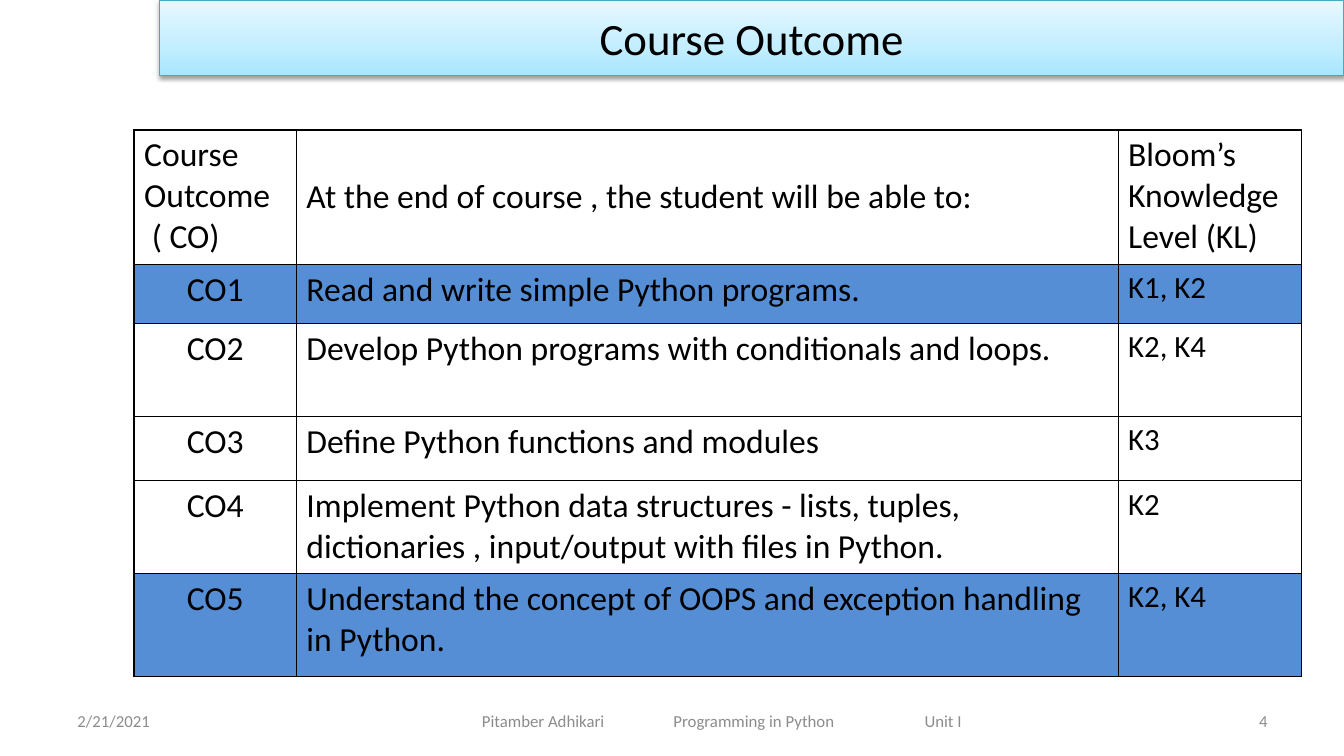
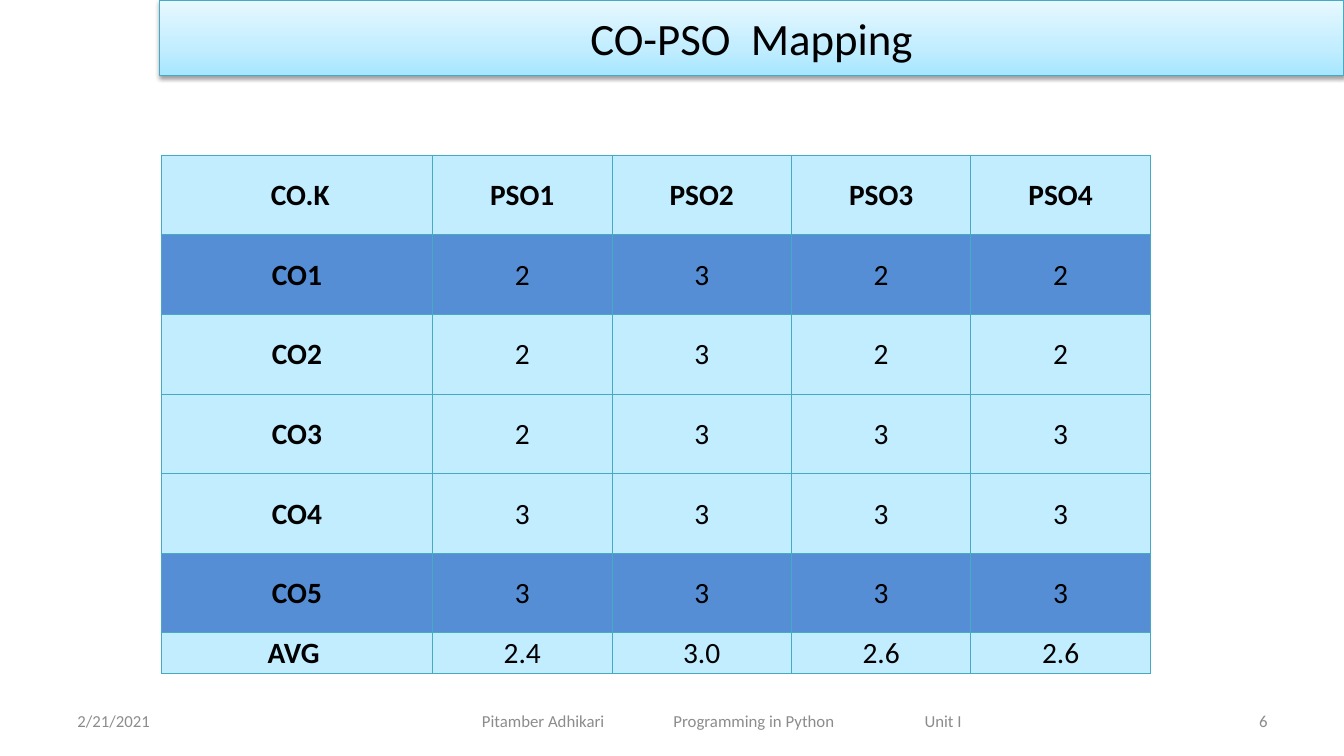
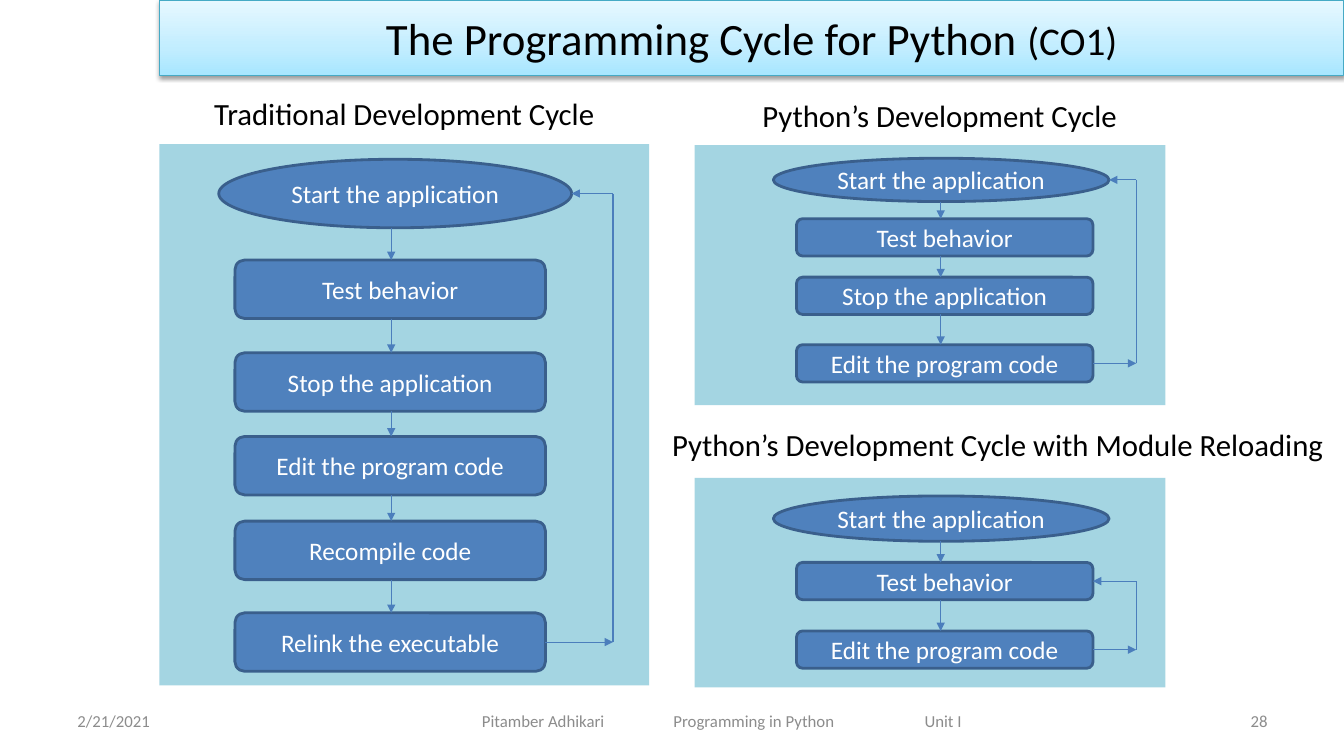
"""Build three course slides: outcomes, outcome mapping and the programming cycle."""
from copy import deepcopy
from itertools import pairwise

from pptx import Presentation
from pptx.dml.color import RGBColor
from pptx.enum.shapes import MSO_CONNECTOR, MSO_SHAPE
from pptx.enum.text import MSO_ANCHOR, PP_ALIGN
from pptx.oxml import parse_xml
from pptx.oxml.ns import nsdecls, qn
from pptx.util import Inches, Pt

BLACK = RGBColor(0x00, 0x00, 0x00)
WHITE = RGBColor(0xFF, 0xFF, 0xFF)
GREY = RGBColor(0x8C, 0x8C, 0x8C)
TEAL = RGBColor(0x46, 0xAA, 0xC5)
PANEL = RGBColor(0x4B, 0xAC, 0xC6)
PALE = RGBColor(0xC1, 0xED, 0xFF)
HIGHLIGHT = RGBColor(0x55, 0x8E, 0xD5)
NODE = RGBColor(0x4F, 0x81, 0xBD)
NODE_EDGE = RGBColor(0x3A, 0x5F, 0x8C)
ARROW = RGBColor(0x4B, 0x7E, 0xBC)
BAND_STOPS = [(0, RGBColor(0xA7, 0xE6, 0xFF)), (0.35, PALE), (1, RGBColor(0xE7, 0xF8, 0xFF))]

LEFT, CENTER, RIGHT = PP_ALIGN.LEFT, PP_ALIGN.CENTER, PP_ALIGN.RIGHT
TOP, MIDDLE = MSO_ANCHOR.TOP, MSO_ANCHOR.MIDDLE

DATE = "2/21/2021"
FOOTER = "Pitamber Adhikari\tProgramming in Python\tUnit I"
FOOTER_TABS = (1.9, 4.39)

OUTCOMES = dict(
    rows=[
        ("Course Outcome\n ( CO)", "At the end of course , the student will be able to:",
         "Bloom’s Knowledge Level (KL)"),
        ("CO1", "Read and write simple Python programs.", "K1, K2"),
        ("CO2", "Develop Python programs with conditionals and loops.", "K2, K4"),
        ("CO3", "Define Python functions and modules", "K3"),
        ("CO4", "Implement Python data structures - lists, tuples, dictionaries , "
                "input/output with files in Python.", "K2"),
        ("CO5", "Understand the concept of OOPS and exception handling in Python.", "K2, K4"),
    ],
    corner=(1.33, 1.29),
    widths=[1.61, 8.15, 1.82],
    heights=[1.33, 0.59, 0.92, 0.64, 0.92, 1.02],
    header=[(LEFT, TOP, 24, False), (LEFT, MIDDLE, 24, False), (LEFT, TOP, 24, False)],
    body=[(CENTER, TOP, 24, False), (LEFT, TOP, 24, False), (LEFT, TOP, 22, False)],
    margins=(0.1, 0.05, 0.1, 0.05),
    fill=WHITE, edge=BLACK, edge_width=1,
)
MAPPING = dict(
    rows=[
        (" CO.K", "PSO1", "PSO2", "PSO3", "PSO4"),
        ("CO1", "2", "3", "2", "2"),
        ("CO2", "2", "3", "2", "2"),
        ("CO3", "2", "3", "3", "3"),
        ("CO4", "3", "3", "3", "3"),
        ("CO5", "3", "3", "3", "3"),
        ("AVG ", "2.4", "3.0", "2.6", "2.6"),
    ],
    corner=(1.6, 1.54),
    widths=[2.69] + [1.78] * 4,
    heights=[0.79] * 6 + [0.4],
    header=[(CENTER, MIDDLE, 21, True)] * 5,
    body=[(CENTER, MIDDLE, 21, True)] + [(CENTER, MIDDLE, 21, False)] * 4,
    margins=(0.01, 0.01, 0.01, 0),
    fill=PALE, edge=TEAL, edge_width=0.75,
)
HIGHLIGHTED = ("CO1", "CO5")

START, TEST, STOP, EDIT = ("Start the application", "Test behavior",
                           "Stop the application", "Edit the program code")
CYCLES = [
    dict(heading="Traditional Development Cycle", heading_at=(1.58, 0.89, 4.86, 0.47),
         panel=(1.58, 1.43, 4.86, 5.37), oval=(2.17, 3.5, 0.68), box=(2.33, 3.08, 0.58),
         steps=[(START, 1.58), (TEST, 2.58), (STOP, 3.5), (EDIT, 4.33),
                ("Recompile code", 5.17), ("Relink the executable", 6.08)],
         arrow_x=3.88, rail_x=6.08, back_to=0),
    dict(heading="Python’s Development Cycle", heading_at=(6.89, 0.91, 4.86, 0.47),
         panel=(6.89, 1.44, 4.67, 2.58), oval=(7.67, 3.33, 0.43), box=(7.9, 2.94, 0.37),
         steps=[(START, 1.57), (TEST, 2.17), (STOP, 2.75), (EDIT, 3.42)],
         arrow_x=9.33, rail_x=11.27, back_to=0),
    dict(heading="Python’s Development Cycle with Module Reloading",
         heading_at=(6.45, 4.17, 6.89, 0.47),
         panel=(6.89, 4.74, 4.67, 2.08), oval=(7.67, 3.33, 0.45), box=(7.9, 2.94, 0.37),
         steps=[(START, 4.92), (TEST, 5.58), (EDIT, 6.26)],
         arrow_x=9.33, rail_x=11.27, back_to=1),
]

SLIDES = [
    (4, [("Course Outcome", 32)]),
    (6, [("CO-PSO  Mapping", 32)]),
    (28, [("The Programming Cycle for Python ", 32), ("(CO1)", 28)]),
]


def inches(values):
    return [Inches(value) for value in values]


def style(font, size, color, bold=False):
    for name, value in dict(name="Calibri", size=Pt(size), bold=bold).items():
        setattr(font, name, value)
    font.color.rgb = color


def write(frame, runs, color, align=CENTER, anchor=MIDDLE):
    for name, value in dict(word_wrap=True, vertical_anchor=anchor).items():
        setattr(frame, name, value)
    paragraph = frame.paragraphs[0]
    paragraph.alignment = align
    for text, size in runs:
        run = paragraph.add_run()
        run.text = text
        style(run.font, size, color)


def add_label(slide, at, text, size, color, align=CENTER, anchor=MIDDLE):
    frame = slide.shapes.add_textbox(*inches(at)).text_frame
    write(frame, [(text, size)], color, align, anchor)
    return frame


def add_block(slide, kind, at, fill, edge=None, edge_width=0):
    block = slide.shapes.add_shape(kind, *inches(at))
    block.shadow.inherit = False
    block.fill.solid()
    block.fill.fore_color.rgb = fill
    if edge is None:
        block.line.fill.background()
    else:
        block.line.color.rgb = edge
        block.line.width = Pt(edge_width)
    return block


def add_title(slide, runs):
    band = add_block(slide, MSO_SHAPE.RECTANGLE, (1.58, 0, 11.75, 0.75), PALE, TEAL, 0.75)
    band.fill.gradient()
    band.fill.gradient_angle = 90
    first = band._element.spPr.find(".//" + qn("a:gs"))
    first.addnext(deepcopy(first))
    for stop, (position, color) in zip(band.fill.gradient_stops, BAND_STOPS):
        stop.position = position
        stop.color.rgb = color
    band._element.spPr.find(qn("a:effectLst")).append(parse_xml(
        f'<a:outerShdw {nsdecls("a")} blurRad="40000" dist="20000" dir="5400000" '
        'rotWithShape="0"><a:srgbClr val="000000"><a:alpha val="38000"/></a:srgbClr>'
        '</a:outerShdw>'))
    write(band.text_frame, runs, BLACK)


def add_footer(slide, number):
    add_label(slide, (0.67, 6.95, 3.11, 0.4), DATE, 12, GREY, LEFT)
    add_label(slide, (9.56, 6.95, 3.11, 0.4), str(number), 12, GREY, RIGHT)
    frame = add_label(slide, (4.42, 6.95, 5.5, 0.4), FOOTER, 12, GREY, LEFT)
    frame.margin_left = Inches(0.36)
    stops = "".join(f'<a:tab pos="{Inches(tab)}" algn="l"/>' for tab in FOOTER_TABS)
    frame.paragraphs[0]._p.get_or_add_pPr().append(
        parse_xml(f'<a:tabLst {nsdecls("a")}>{stops}</a:tabLst>'))


def add_borders(cell, color, width):
    properties = cell._tc.get_or_add_tcPr()
    for index, side in enumerate("LRTB"):
        properties.insert(index, parse_xml(
            f'<a:ln{side} {nsdecls("a")} w="{Pt(width)}"><a:solidFill>'
            f'<a:srgbClr val="{color}"/></a:solidFill></a:ln{side}>'))


def fill_cell(cell, text, form, fill, grid):
    align, anchor, size, bold = form
    left, top, right, bottom = inches(grid["margins"])
    layout = dict(margin_left=left, margin_top=top, margin_right=right,
                  margin_bottom=bottom, vertical_anchor=anchor, text=text)
    for name, value in layout.items():
        setattr(cell, name, value)
    for paragraph in cell.text_frame.paragraphs:
        paragraph.alignment = align
        for run in paragraph.runs:
            style(run.font, size, BLACK, bold)
    cell.fill.solid()
    cell.fill.fore_color.rgb = fill
    add_borders(cell, grid["edge"], grid["edge_width"])


def add_grid(slide, grid):
    rows, widths, heights = grid["rows"], grid["widths"], grid["heights"]
    at = (*grid["corner"], sum(widths), sum(heights))
    table = slide.shapes.add_table(len(rows), len(widths), *inches(at)).table
    table.first_row = table.horz_banding = False
    for column, width in zip(table.columns, widths):
        column.width = Inches(width)
    for index, (row, height, texts) in enumerate(zip(table.rows, heights, rows)):
        row.height = Inches(height)
        fill = HIGHLIGHT if texts[0] in HIGHLIGHTED else grid["fill"]
        forms = grid["body"] if index else grid["header"]
        for cell, text, form in zip(row.cells, texts, forms):
            fill_cell(cell, text, form, fill, grid)


def add_line(slide, start, end, arrow=True):
    line = slide.shapes.add_connector(MSO_CONNECTOR.STRAIGHT, *inches(start + end))
    line.line.color.rgb = ARROW
    line.line.width = Pt(0.75)
    if arrow:
        line.line._get_or_add_ln().append(
            parse_xml(f'<a:tailEnd {nsdecls("a")} type="triangle"/>'))
    line._element.spPr.append(parse_xml(f'<a:effectLst {nsdecls("a")}/>'))


def add_cycle(slide, cycle):
    panel = add_block(slide, MSO_SHAPE.RECTANGLE, cycle["panel"], PANEL)
    panel._element.spPr.find(".//" + qn("a:srgbClr")).append(
        parse_xml(f'<a:alpha {nsdecls("a")} val="50000"/>'))
    add_label(slide, cycle["heading_at"], cycle["heading"], 22, BLACK, anchor=TOP)
    spans = []
    for index, (text, top) in enumerate(cycle["steps"]):
        left, width, height = cycle["box" if index else "oval"]
        kind = MSO_SHAPE.ROUNDED_RECTANGLE if index else MSO_SHAPE.OVAL
        node = add_block(slide, kind, (left, top, width, height), NODE, NODE_EDGE, 2)
        write(node.text_frame, [(text, 18)], WHITE)
        spans.append((top, top + height, left + width))
    for (_, bottom, _), (top, _, _) in pairwise(spans):
        add_line(slide, (cycle["arrow_x"], bottom), (cycle["arrow_x"], top))
    (low, high), (target_low, target_high) = spans[-1][:2], spans[cycle["back_to"]][:2]
    leave_y, return_y = (low + high) / 2, (target_low + target_high) / 2
    rail = cycle["rail_x"]
    add_line(slide, (spans[-1][2], leave_y), (rail, leave_y))
    add_line(slide, (rail, leave_y), (rail, return_y), arrow=False)
    add_line(slide, (rail, return_y), (spans[cycle["back_to"]][2], return_y))


def main():
    deck = Presentation()
    deck.slide_width, deck.slide_height = Inches(13.33), Inches(7.5)
    pages = []
    for number, title in SLIDES:
        page = deck.slides.add_slide(deck.slide_layouts[6])
        add_footer(page, number)
        add_title(page, title)
        pages.append(page)
    outcome_page, mapping_page, cycle_page = pages
    add_grid(outcome_page, OUTCOMES)
    add_grid(mapping_page, MAPPING)
    for cycle in CYCLES:
        add_cycle(cycle_page, cycle)
    deck.save("out.pptx")


if __name__ == "__main__":
    main()
